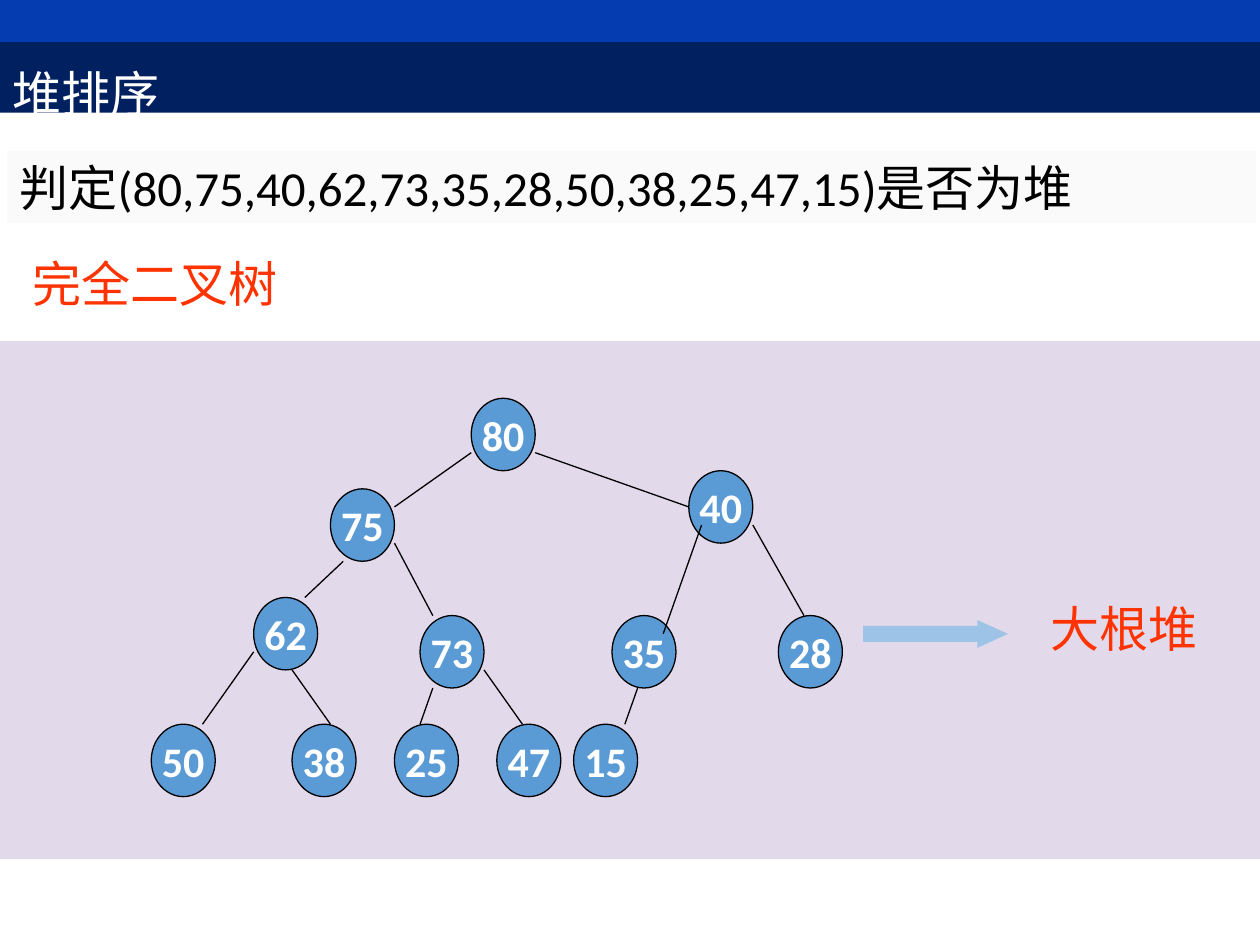
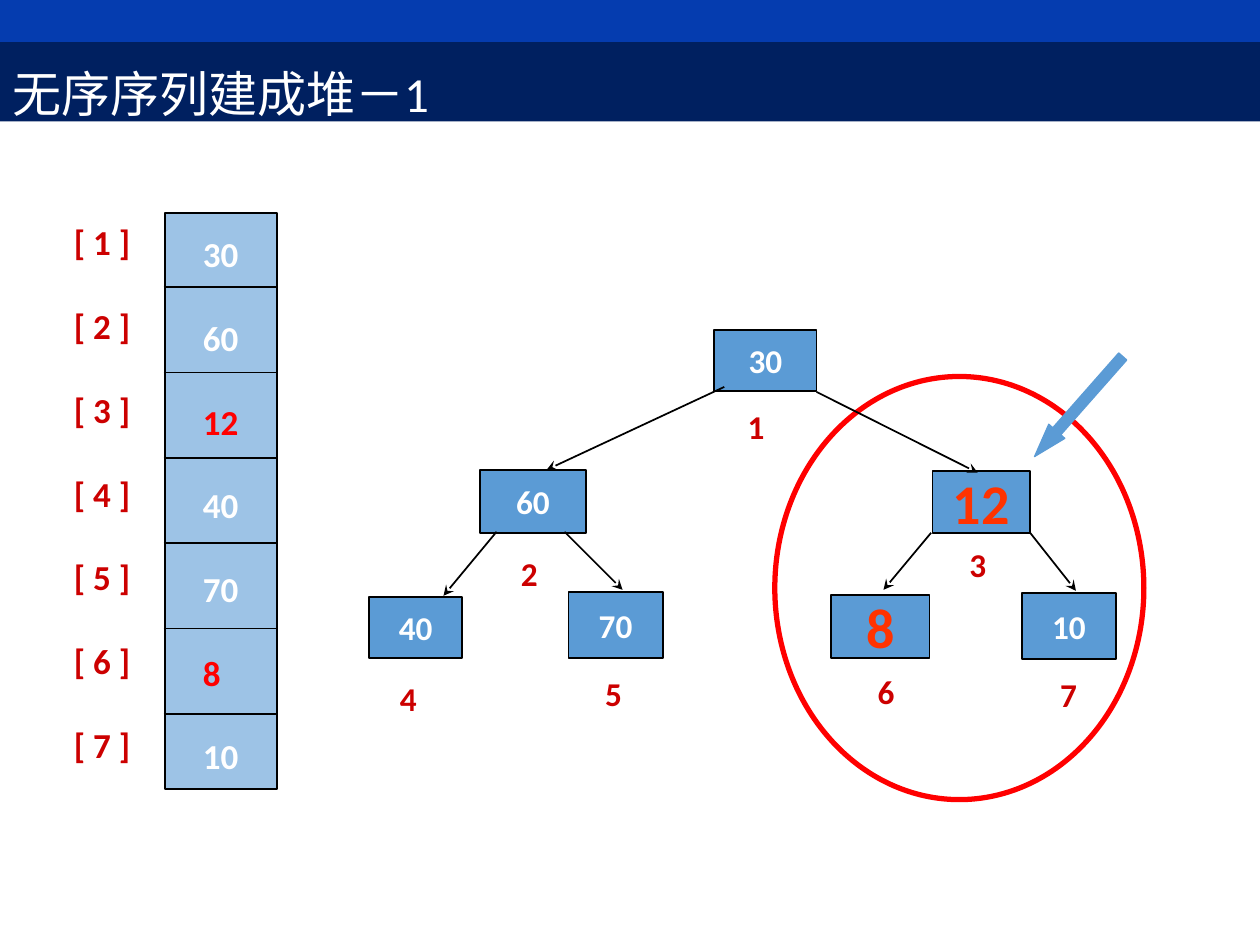
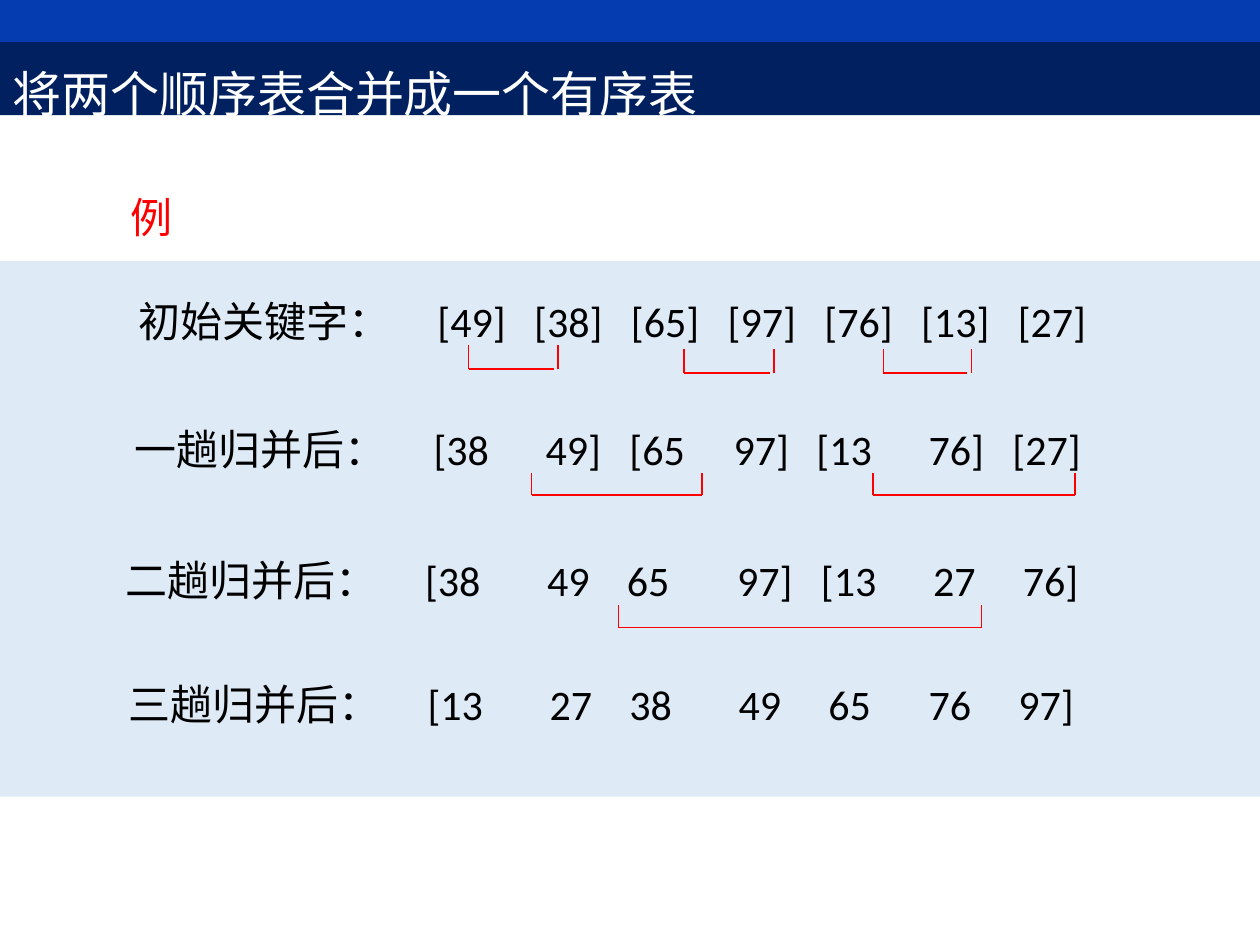
from lxml.etree import SubElement as sub
from pptx import Presentation
from pptx.dml.color import RGBColor as RGB
from pptx.enum.shapes import MSO_CONNECTOR as Link, MSO_SHAPE as Form
from pptx.enum.text import MSO_ANCHOR as Anchor, MSO_AUTO_SIZE as Auto, PP_ALIGN as Align
from pptx.oxml.ns import qn
from pptx.util import Cm, Pt

COLORS = {
    "band": "053CAF", "navy": "002060", "white": "FFFFFF", "black": "000000",
    "blue": "5B9BD5", "sky": "9DC3E6", "ice": "DEEBF7", "lilac": "E2D9EB",
    "pale": "FAFAFA", "red": "FF0000", "orange": "FF3300", "index": "CC0000",
}
WIDTH, HEIGHT = 25.4, 19.05
MIDDLE = {"vertical_anchor": Anchor.MIDDLE, "word_wrap": False,
          "margin_left": 0, "margin_right": 0, "margin_top": 0, "margin_bottom": 0}
FLOW = {"vertical_anchor": Anchor.TOP, "word_wrap": True, "auto_size": Auto.NONE}

# Heap tree: grid steps are a fifth of a node's width and a quarter of its height
NODE_W, NODE_H = 1.29, 1.46
TREE_X, TREE_Y = 3.05, 8.03
HEAP = [(80, 25, 0), (75, 14, 5), (40, 42, 4), (62, 8, 11), (73, 21, 12), (28, 49, 12),
        (35, 36, 12), (50, 0, 18), (38, 11, 18), (25, 19, 18), (47, 27, 18), (15, 33, 18)]
EDGES = [(25, 3, 19, 6), (30, 3, 42, 6), (15, 9, 12, 11), (19, 8, 22, 12),
         (43, 7, 40, 13), (47, 7, 51, 12), (8, 14, 4, 18), (11, 15, 14, 18),
         (22, 16, 21, 18), (26, 15, 29, 18), (38, 16, 37, 18)]

# Array tree: box of each item, then the centre of its index
ITEMS = [(30, (14.4, 6.65, 2.06, 1.24), (15.24, 8.59)),
         (60, (9.68, 9.47, 2.13, 1.27), (10.67, 11.56)),
         (12, (18.8, 9.5, 1.96, 1.24), (19.71, 11.38)),
         (40, (7.44, 12.04, 1.88, 1.22), (8.23, 14.07)),
         (70, (11.46, 11.94, 1.9, 1.32), (12.37, 13.97)),
         (8, (16.76, 11.99, 1.98, 1.27), (17.86, 13.94)),
         (10, (20.6, 11.96, 1.9, 1.32), (21.54, 14))]
ACTIVE = (12, 8)
ARROWS = [(14.6, 7.8, 11.02, 9.47), (16.46, 7.9, 19.71, 9.53), (10.01, 10.72, 8.94, 12.01),
          (11.38, 10.72, 12.55, 11.89), (18.77, 10.74, 17.81, 11.89),
          (20.75, 10.72, 21.69, 11.91)]

# Merge passes: place, label, keys and their tab stops
PASSES = [
    (2.54, 5.84, "初始关键字：", "[49] [38] [65] [97] [76] [13] [27]",
     [6.03 + 1.95 * i for i in range(7)]),
    (2.46, 8.41, "一趟归并后：", "[38 49] [65 97] [13 76] [27]",
     [6.03, 8.29, 9.98, 12.08, 13.75, 16.01, 17.7]),
    (2.29, 11.05, "二趟归并后：", "[38 49 65 97] [13 27 76]",
     [6.03, 8.49, 10.1, 12.32, 14.01, 16.27, 18.08]),
    (2.34, 13.56, "三趟归并后：", "[13 27 38 49 65 76 97]",
     [6.03, 8.49, 10.1, 12.3, 14.11, 16.13, 17.94]),
]
# Left, right, top, base, and the gap before the right leg
JOINS = [(9.45, 11.25, 6.95, 7.44, 0.08), (13.79, 15.6, 7.03, 7.52, 0.08),
         (17.81, 19.58, 7.03, 7.52, 0.08), (10.72, 14.15, 9.53, 9.98, 0),
         (17.6, 21.67, 9.53, 9.98, 0), (12.47, 19.79, 12.2, 12.65, 0)]


def rgb(name):
    return RGB.from_string(COLORS[name])


def style(thing, values):
    for key, value in values.items():
        setattr(thing, key, value)


def write(par, text, size, color, bold=False):
    run = par.add_run()
    run.text = str(text)
    style(run.font, {"name": "Calibri", "size": Pt(size), "bold": bold})
    run.font.color.rgb = rgb(color)


def paint(shape, fill, line=None, weight=1):
    shape.fill.solid()
    shape.fill.fore_color.rgb = rgb(fill)
    if line:
        shape.line.color.rgb = rgb(line)
        shape.line.width = Pt(weight)
    else:
        shape.line.fill.background()


def block(slide, form, place, fill, line=None, weight=1):
    shape = slide.shapes.add_shape(form, *map(Cm, place))
    shape.shadow.inherit = False
    paint(shape, fill, line, weight)
    return shape


def center(shape, text, size, color):
    style(shape.text_frame, MIDDLE)
    par = shape.text_frame.paragraphs[0]
    par.alignment = Align.CENTER
    write(par, text, size, color, True)


def note(slide, place, text, size, color):
    box = slide.shapes.add_textbox(*map(Cm, place))
    style(box.text_frame, FLOW)
    write(box.text_frame.paragraphs[0], text, size, color)
    return box


def column(slide, place, items):
    """Stack (text, color) pairs at the pitch of the array cells."""
    frame = slide.shapes.add_textbox(*map(Cm, place)).text_frame
    style(frame, FLOW)
    for i, (text, color) in enumerate(items):
        par = frame.add_paragraph() if i else frame.paragraphs[0]
        if i:
            par.space_before = Pt(23.8)
        write(par, text, 20, color, True)


def rule(slide, ends, color="black", weight=0.75, arrow=False):
    line = slide.shapes.add_connector(Link.STRAIGHT, *map(Cm, ends))
    line.line.color.rgb = rgb(color)
    line.line.width = Pt(weight)
    props = line.element.spPr
    if arrow:
        sub(props.find(qn("a:ln")), qn("a:tailEnd"), type="stealth")
    sub(props, qn("a:effectLst"))


def join(slide, left, right, top, base, gap):
    for ends in ((left, top, left, base), (left, base, right - gap, base),
                 (right, base, right, top)):
        rule(slide, ends, "red")


def head(slide, text, height):
    title = slide.shapes.title
    style(title, dict(zip(("left", "top", "width", "height"),
                          map(Cm, (0, 0.85, WIDTH, height)))))
    paint(title, "navy")
    style(title.text_frame, FLOW)
    par = title.text_frame.paragraphs[0]
    style(par, {"alignment": Align.LEFT, "line_spacing": 1.25})
    write(par, text, 28, "white")


def heap(slide):
    head(slide, "堆排序", 1.42)
    block(slide, Form.RECTANGLE, (0, 6.88, WIDTH, 10.44), "lilac")
    paint(note(slide, (0.15, 3.05, 25.17, 1.45),
               "判定(80,75,40,62,73,35,28,50,38,25,47,15)是否为堆", 28, "black"), "pale")
    note(slide, (0.41, 4.98, 7, 1.45), "完全二叉树", 28, "orange")

    # Nodes and edges
    def spot(col, row):
        return TREE_X + col * NODE_W / 5, TREE_Y + row * NODE_H / 4

    for value, col, row in HEAP:
        node = block(slide, Form.OVAL, (*spot(col, row), NODE_W, NODE_H), "blue", "black", 0.75)
        center(node, value, 24, "white")
    for edge in EDGES:
        rule(slide, spot(*edge[:2]) + spot(*edge[2:]))

    # Result
    arrow = block(slide, Form.RIGHT_ARROW, (17.4, 12.5, 2.92, 0.56), "sky")
    arrow.adjustments[0], arrow.adjustments[1] = 0.57, 1.1
    note(slide, (20.93, 11.94, 4.2, 1.45), "大根堆", 28, "orange")


def build(slide):
    head(slide, "无序序列建成堆－1", 1.6)
    block(slide, Form.OVAL, (15.62, 7.59, 7.44, 8.53), "white", "red", 3)

    # Array with its indices
    block(slide, Form.RECTANGLE, (3.33, 4.29, 2.26, 11.61), "sky", "black")
    for i in range(len(ITEMS) - 1):
        y = 5.79 + 1.72 * i
        rule(slide, (3.3, y, 5.59, y), weight=1)
    column(slide, (1.24, 4.33, 2, 11.3),
           [(f"[ {i} ]", "index") for i in range(1, len(ITEMS) + 1)])
    column(slide, (3.84, 4.57, 1.6, 11.3),
           [(item[0], "red" if item[0] in ACTIVE else "white") for item in ITEMS])

    # Tree
    for i, (value, place, (x, y)) in enumerate(ITEMS, 1):
        node = block(slide, Form.RECTANGLE, place, "blue", "black")
        center(node, value, *((32, "orange") if value in ACTIVE else (19, "white")))
        label = slide.shapes.add_textbox(*map(Cm, (x - 0.5, y - 0.45, 1, 0.9)))
        center(label, i, 19, "index")
    for ends in ARROWS:
        rule(slide, ends, weight=1, arrow=True)

    # Pointer to the active subtree
    arrow = block(slide, Form.LEFT_ARROW, (20.4, 7.98, 2.69, 0.43), "blue", "blue", 0.75)
    arrow.adjustments[0], arrow.adjustments[1] = 0.5, 1.58
    arrow.rotation = 311.4


def merge(slide):
    head(slide, "将两个顺序表合并成一个有序表", 1.47)
    block(slide, Form.RECTANGLE, (0, 5.26, WIDTH, 10.8), "ice")
    note(slide, (2.39, 3.73, 2, 1.27), "例", 24, "red")
    for x, y, label, keys, stops in PASSES:
        text = "\t".join([label, *keys.split()])
        box = note(slide, (x, y, 20.4, 1.3), text, 24, "black")
        props = box.text_frame.paragraphs[0]._p.get_or_add_pPr()
        tabs = sub(props, qn("a:tabLst"))
        for stop in stops:
            sub(tabs, qn("a:tab"), pos=str(int(Cm(stop))), algn="l")
    for ends in JOINS:
        join(slide, *ends)


def main():
    prs = Presentation()
    prs.slide_width, prs.slide_height = Cm(WIDTH), Cm(HEIGHT)
    layout = prs.slide_layouts[5]
    draws = (heap, build, merge)
    slides = [prs.slides.add_slide(layout) for _ in draws]

    # The top band moves to the layout, where all slides share it
    band = block(slides[0], Form.RECTANGLE, (0, 0, WIDTH, 0.86), "band")
    band.element.nvSpPr.cNvPr.set("id", "20")
    layout.shapes.element.insert(2, band.element)

    for draw, slide in zip(draws, slides):
        draw(slide)
    prs.save("out.pptx")


if __name__ == "__main__":
    main()
